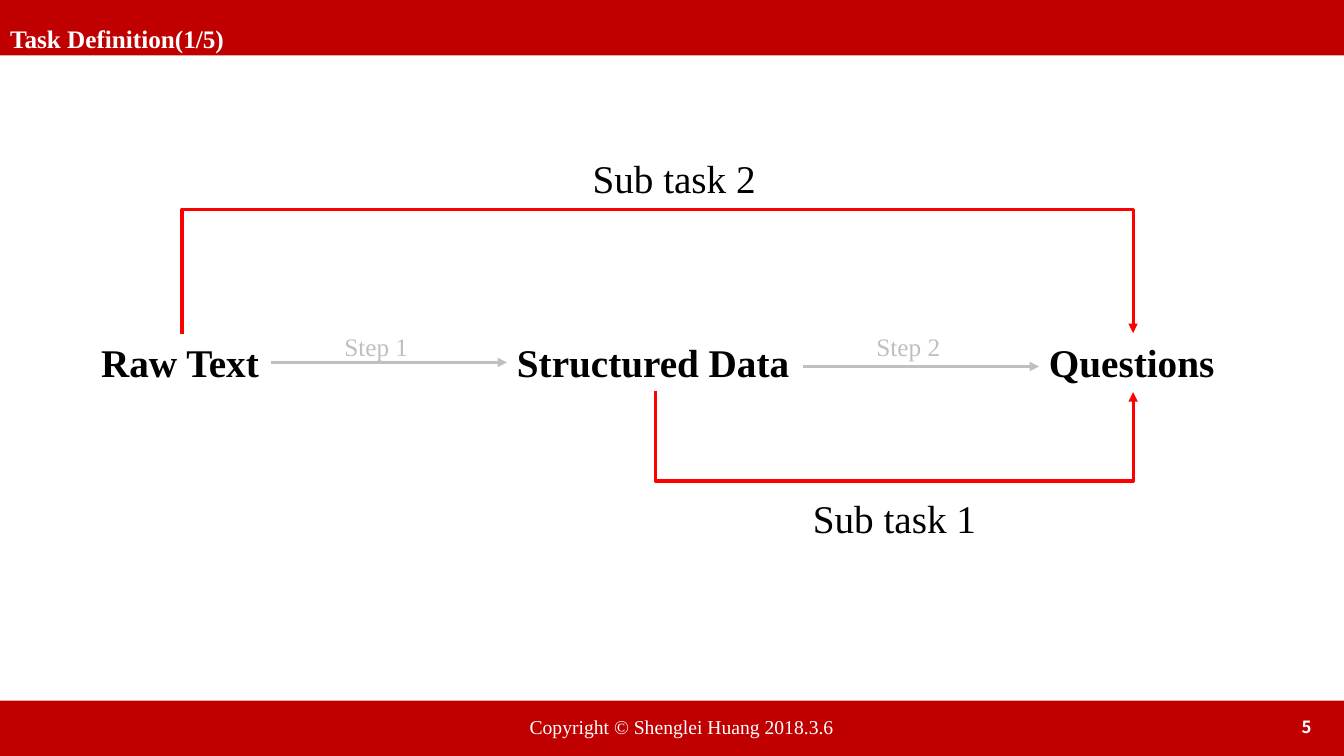
from lxml import etree
from pptx import Presentation
from pptx.dml.color import RGBColor
from pptx.enum.shapes import MSO_CONNECTOR, MSO_SHAPE
from pptx.enum.text import MSO_ANCHOR, MSO_AUTO_SIZE, PP_ALIGN
from pptx.oxml.ns import qn
from pptx.util import Pt

COLORS = {"band": "C00000", "white": "FFFFFF", "text": "000000",
          "step": "BFBFBF", "subtask": "FF0000"}
FONT = "Times New Roman"
NUMBER_FONT = "Noto Sans CJK SC"
WIDTH, HEIGHT, BAND = 960, 540, 39.6


class SlideBuilder:
    def __init__(self, slide):
        self.s = slide

    def color(self, name):
        return RGBColor.from_string(COLORS[name])

    def band(self, top):
        sp = self.s.shapes.add_shape(
            MSO_SHAPE.RECTANGLE, 0, Pt(top), Pt(WIDTH), Pt(BAND))
        sp.shadow.inherit = False
        sp.fill.solid()
        sp.fill.fore_color.rgb = self.color("band")
        sp.line.fill.background()
        return sp

    def set_text(self, sp, text, size, color, bold=False, font=FONT,
                 wrap=False, align=PP_ALIGN.LEFT, anchor=MSO_ANCHOR.TOP):
        tf = sp.text_frame
        tf.text = text
        tf.word_wrap = wrap
        tf.auto_size = MSO_AUTO_SIZE.NONE if wrap else MSO_AUTO_SIZE.SHAPE_TO_FIT_TEXT
        tf.vertical_anchor = anchor
        p = tf.paragraphs[0]
        p.alignment = align
        r = p.runs[0]
        r.font.name, r.font.size, r.font.bold = font, Pt(size), bold
        r.font.color.rgb = self.color(color)
        # East Asian typeface follows the Latin one
        etree.SubElement(r.font._element, qn("a:ea")).set("typeface", font)

    def text(self, left, top, width, height, text, size, color, **style):
        sp = self.s.shapes.add_textbox(Pt(left), Pt(top), Pt(width), Pt(height))
        self.set_text(sp, text, size, color, **style)
        return sp

    def title(self, left, top, width, height, text):
        sp = self.s.shapes.title
        sp.left, sp.top, sp.width, sp.height = Pt(left), Pt(top), Pt(width), Pt(height)
        self.set_text(sp, text, 18, "white", bold=True)
        sp.text_frame.paragraphs[0].line_spacing = 1.5
        # Bring the title in front of the bands
        self.s.shapes._spTree.append(sp._element)

    def connector(self, kind, x1, y1, x2, y2, color):
        c = self.s.shapes.add_connector(kind, Pt(x1), Pt(y1), Pt(x2), Pt(y2))
        c.line.color.rgb = self.color(color)
        c.line.width = Pt(2.25)
        ln = c.line._get_or_add_ln()
        etree.SubElement(ln, qn("a:tailEnd")).set("type", "triangle")
        etree.SubElement(c._element.spPr, qn("a:effectLst"))
        return c

    def arrow(self, x1, x2, y):
        return self.connector(MSO_CONNECTOR.STRAIGHT, x1, y, x2, y, "step")

    def bracket(self, x1, x2, y, depth, up):
        """Elbow arrow from x1 to x2, turned a quarter, that bends depth away from y."""
        cx, half = (x1 + x2) / 2, (x2 - x1) / 2
        side = 1 if up else -1
        # One point wide before the turn, so the adjustment equals the depth
        c = self.connector(MSO_CONNECTOR.ELBOW, cx + 0.5, y + side * half,
                           cx - 0.5, y - side * half, "subtask")
        spPr = c._element.spPr
        spPr.find(qn("a:xfrm")).set("rot", str((90 if up else 270) * 60000))
        geom = spPr.find(qn("a:prstGeom"))
        av = geom.find(qn("a:avLst"))
        if av is None:
            av = etree.SubElement(geom, qn("a:avLst"))
        gd = etree.SubElement(av, qn("a:gd"))
        gd.set("name", "adj1")
        gd.set("fmla", f"val {round(depth * 100000)}")


def main():
    prs = Presentation()
    prs.slide_width, prs.slide_height = Pt(WIDTH), Pt(HEIGHT)
    s = prs.slides.add_slide(prs.slide_layouts[5])
    b = SlideBuilder(s)

    # Header and footer
    b.band(0)
    footer = b.band(HEIGHT - BAND)
    notice = b.text(371.2, 506.9, 233.4, 24.2,
                    "Copyright © Shenglei Huang 2018.3.6", 14, "white")
    s.shapes.add_group_shape([footer, notice])
    b.title(0, 2.2, 169.2, 40.3, "Task Definition(1/5)")
    b.text(728, 504.7, 216, 28.8, "5", 12, "white", bold=True, font=NUMBER_FONT,
           wrap=True, align=PP_ALIGN.RIGHT, anchor=MSO_ANCHOR.MIDDLE)

    # Stages of the pipeline
    stages = [("Raw Text", 65.2, 128.3), ("Structured Data", 362.2, 211.3),
              ("Questions", 742.2, 134.1)]
    raw, data, _ = [b.text(left, 238.3, width, 41.2, name, 28, "text", bold=True)
                    for name, left, width in stages]

    # Steps between the stages
    first = b.arrow(193.5, 362.2, 258.9)
    first.begin_connect(raw, 3)
    first.end_connect(data, 1)
    b.arrow(573.5, 742.2, 261.8)
    for name, left in [("Step 1", 239), ("Step 2", 619)]:
        b.text(left, 233.3, 60.5, 29.1, name, 18, "step")

    # Sub tasks
    b.bracket(130, 809.4, 238.4, 90, up=True)
    b.bracket(468.4, 809.4, 279.6, 65, up=False)
    for name, left, top in [("Sub task 2", 416.2, 106.6), ("Sub task 1", 573.6, 349.4)]:
        b.text(left, top, 132.5, 41.2, name, 28, "text")

    prs.save("out.pptx")


if __name__ == "__main__":
    main()
